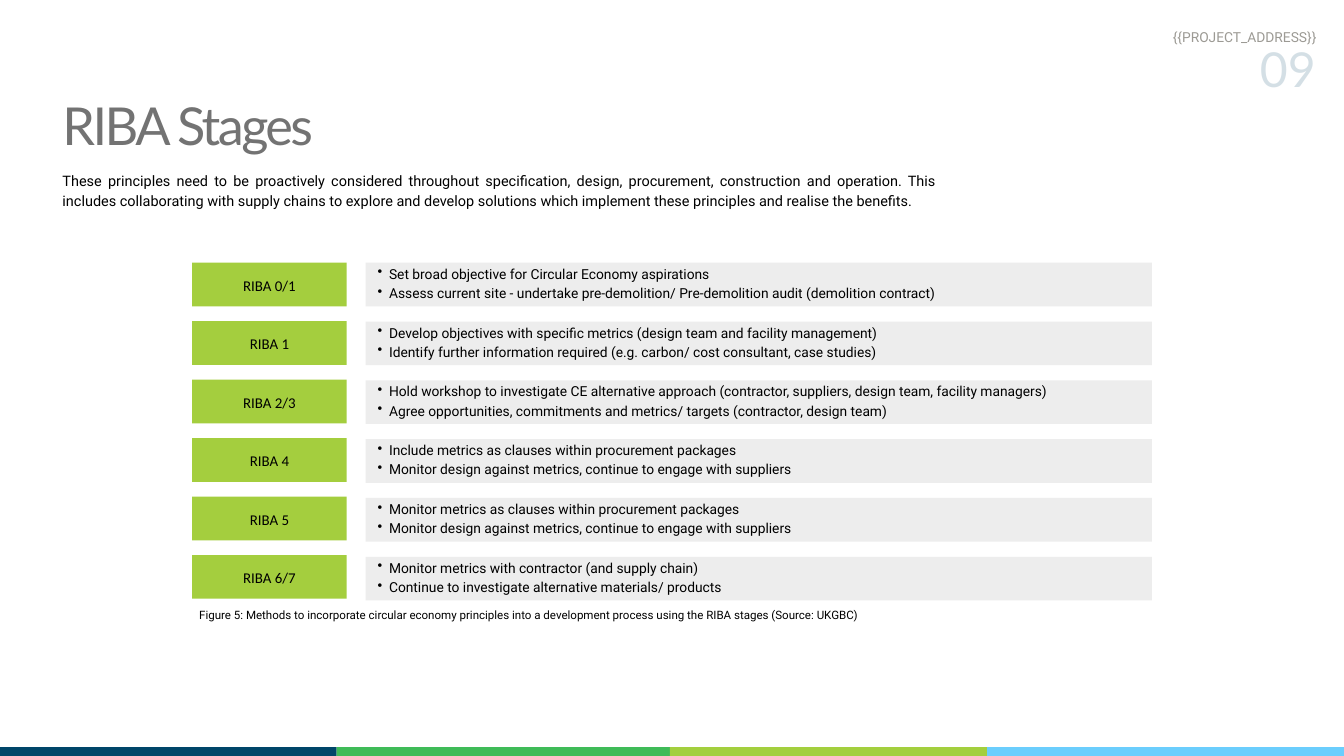
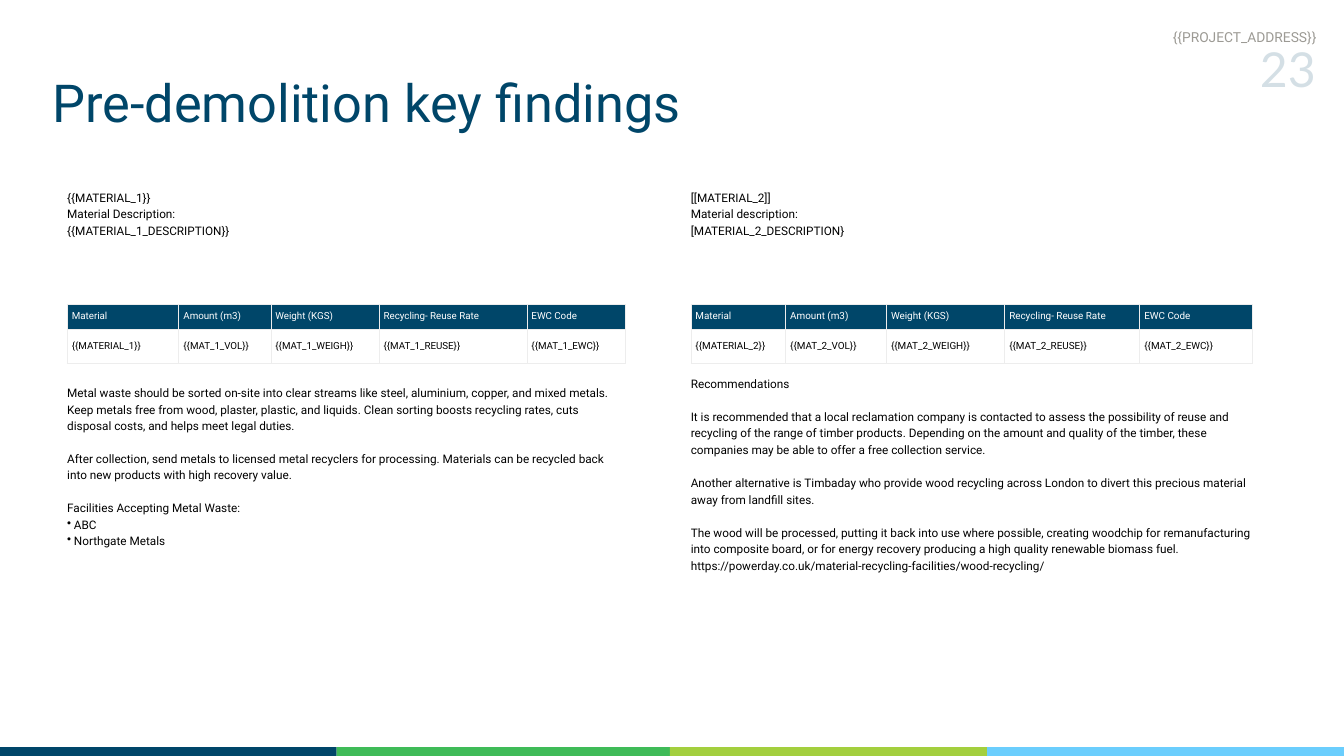
from dataclasses import dataclass
from itertools import accumulate
from typing import NamedTuple

from lxml import etree
from pptx import Presentation
from pptx.dml.color import RGBColor
from pptx.enum.shapes import MSO_SHAPE
from pptx.enum.text import MSO_ANCHOR, MSO_AUTO_SIZE, PP_ALIGN
from pptx.oxml.ns import qn
from pptx.util import Inches, Pt

RECT = MSO_SHAPE.RECTANGLE
MIDDLE = MSO_ANCHOR.MIDDLE
FIT = MSO_AUTO_SIZE.SHAPE_TO_FIT_TEXT
LEFT, CENTER = PP_ALIGN.LEFT, PP_ALIGN.CENTER
RIGHT, JUSTIFY = PP_ALIGN.RIGHT, PP_ALIGN.JUSTIFY


@dataclass(frozen=True)
class Theme:
    navy: str = "004669"
    green: str = "3FBB58"
    lime: str = "A3CF3E"
    sky: str = "6BCEFD"
    tag: str = "A4CE3E"
    panel: str = "EDEDED"
    black: str = "000000"
    white: str = "FFFFFF"
    grey: str = "737373"
    stone: str = "9C9A94"
    sans: str = "Roboto"
    head: str = "Lato"
    label: str = "Calibri"
    title: float = 56
    number: float = 51.6
    stage: float = 16
    intro: float = 15.5
    item: float = 14.8
    body: float = 12.6
    note: float = 12.4


T = Theme()


class Para(NamedTuple):
    text: str
    gap: float = 0
    hang: float = 0
    indent: float = 0


class Box(NamedTuple):
    left: float
    top: float
    width: float
    height: float

    def emu(self) -> list:
        return [Inches(value) for value in self]


class Stage(NamedTuple):
    name: str
    tasks: tuple


class Finding(NamedTuple):
    """One column of the findings slide."""
    left: float
    width: float
    intro: list
    cols: list
    cells: list
    size: float
    row: float
    advice: list
    top: float
    line: float


def fill(frame, paras: list, *, size: float, line: float, font: str = T.sans,
         color: str = T.black, align=LEFT, space: float = 0, alpha: int = 100) -> None:
    """Write paragraphs with an exact line pitch in points."""
    for i, para in enumerate(paras):
        p = frame.paragraphs[0] if i == 0 else frame.add_paragraph()
        p.alignment = align
        if para.hang:
            props = p._p.get_or_add_pPr()
            props.set("marL", str(Inches(para.indent)))
            props.set("indent", str(-Inches(para.hang)))
            etree.SubElement(props, qn("a:buChar"), char="•")
        p.line_spacing = Pt(line)
        if para.gap:
            p.space_before = Pt(para.gap)
        run = p.add_run()
        run.text = para.text
        run.font.name, run.font.size, run.font.bold = font, Pt(size), False
        run.font.color.rgb = RGBColor.from_string(color)
        if space:
            run._r.get_or_add_rPr().set("spc", str(round(space * 100)))
        if alpha < 100:
            tint = run._r.rPr.find(".//" + qn("a:srgbClr"))
            etree.SubElement(tint, qn("a:alpha"), val=str(alpha * 1000))


def write(slide, box: Box, text: str | list, **style) -> None:
    frame = slide.shapes.add_textbox(*box.emu()).text_frame
    frame.margin_left = frame.margin_right = 0
    frame.margin_top = frame.margin_bottom = 0
    frame.word_wrap = True
    frame.auto_size = FIT
    fill(frame, [Para(text)] if isinstance(text, str) else text, **style)


def block(slide, box: Box, color: str) -> None:
    shape = slide.shapes.add_shape(RECT, *box.emu())
    shape.shadow.inherit = False
    shape.fill.solid()
    shape.fill.fore_color.rgb = RGBColor.from_string(color)
    shape.line.fill.background()


def edge(cell) -> None:
    """Draw a thin border on all four sides of a cell."""
    props = cell._tc.get_or_add_tcPr()
    for side in ("lnL", "lnR", "lnT", "lnB"):
        line = etree.SubElement(props, qn(f"a:{side}"), w=str(Pt(0.66)))
        solid = etree.SubElement(line, qn("a:solidFill"))
        etree.SubElement(solid, qn("a:srgbClr"), val=T.panel)


def grid(slide, item: Finding) -> None:
    rows = [HEADS, item.cells]
    box = Box(item.left, 4.53, item.width, sum(ROW_SIZES))
    table = slide.shapes.add_table(len(rows), len(HEADS), *box.emu()).table
    table.horz_banding = False
    for col, width in zip(table.columns, item.cols):
        col.width = Inches(width)
    for r, texts in enumerate(rows):
        table.rows[r].height = Inches(ROW_SIZES[r])
        for c, text in enumerate(texts):
            cell = table.cell(r, c)
            cell.margin_left = cell.margin_right = Inches(0.07)
            cell.margin_top = cell.margin_bottom = Inches(0.07)
            cell.vertical_anchor = MIDDLE
            edge(cell)
            if r == 0:
                cell.fill.solid()
                cell.fill.fore_color.rgb = RGBColor.from_string(T.navy)
            else:
                cell.fill.background()
            fill(cell.text_frame, [Para(text)], size=item.size, line=item.row,
                 color=T.black if r else T.white)


def start(deck, number: str):
    """Add a slide with the colour band, page number and address."""
    slide = deck.slides.add_slide(deck.slide_layouts[6])
    widths = [5.01, 4.96, 4.72, 5.31]
    lefts = accumulate(widths, initial=0)
    for left, width, color in zip(lefts, widths, (T.navy, T.green, T.lime, T.sky)):
        block(slide, Box(left, 11.12, width, 0.13), color)
    write(slide, Box(18.41, 0.44, 1.17, 1.11), number, size=T.number, line=72.3,
          font=T.head, color=T.navy, align=RIGHT, alpha=17)
    write(slide, Box(12.2, 0.39, 7.39, 0.3), "{{PROJECT_ADDRESS}}", size=T.item,
          line=20.6, color=T.stone, align=RIGHT)
    return slide


STAGES = [
    Stage("RIBA 0/1", (
        "Set broad objective for Circular Economy aspirations",
        "Assess current site - undertake pre-demolition/ Pre-demolition audit (demolition contract)")),
    Stage("RIBA 1", (
        "Develop objectives with specific metrics (design team and facility management)",
        "Identify further information required (e.g. carbon/ cost consultant, case studies)")),
    Stage("RIBA 2/3", (
        "Hold workshop to investigate CE alternative approach "
        "(contractor, suppliers, design team, facility managers)",
        "Agree opportunities, commitments and metrics/ targets (contractor, design team)")),
    Stage("RIBA 4", (
        "Include metrics as clauses within procurement packages",
        "Monitor design against metrics, continue to engage with suppliers")),
    Stage("RIBA 5", (
        "Monitor metrics as clauses within procurement packages",
        "Monitor design against metrics, continue to engage with suppliers")),
    Stage("RIBA 6/7", (
        "Monitor metrics with contractor (and supply chain)",
        "Continue to investigate alternative materials/ products")),
]

HEADS = ["Material", "Amount (m3)", "Weight (KGS)", "Recycling- Reuse Rate", "EWC Code"]
ROW_SIZES = [0.37, 0.51]


def codes(n: int) -> list:
    fields = ("VOL", "WEIGH", "REUSE", "EWC")
    return [f"{{{{MATERIAL_{n}}}}}"] + [f"{{{{MAT_{n}_{field}}}}}" for field in fields]


FINDINGS = [
    Finding(
        left=1, width=8.31, size=10.5, row=11.3, top=5.71, line=17.6,
        intro=[Para("{{MATERIAL_1}}"), Para("Material Description:"),
               Para("{{MATERIAL_1_DESCRIPTION}}")],
        cols=[1.66, 1.37, 1.61, 2.2, 1.47], cells=codes(1),
        advice=[
            Para("Metal waste should be sorted on-site into clear streams like steel, aluminium, "
                 "copper, and mixed metals. Keep metals free from wood, plaster, plastic, and "
                 "liquids. Clean sorting boosts recycling rates, cuts disposal costs, and helps "
                 "meet legal duties."),
            Para("After collection, send metals to licensed metal recyclers for processing. "
                 "Materials can be recycled back into new products with high recovery value.", 17.6),
            Para("Facilities Accepting Metal Waste:", 17.6),
            Para("ABC", hang=0.1, indent=0.1),
            Para("Northgate Metals", hang=0.1, indent=0.1)]),
    Finding(
        left=10.28, width=8.35, size=10.6, row=11.4, top=5.57, line=17.7,
        intro=[Para("[[MATERIAL_2]]"), Para("Material description:"),
               Para("[MATERIAL_2_DESCRIPTION}")],
        cols=[1.41, 1.5, 1.76, 2.01, 1.67], cells=codes(2),
        advice=[
            Para("Recommendations"),
            Para("It is recommended that a local reclamation company is contacted to assess the "
                 "possibility of reuse and recycling of the range of timber products. Depending on "
                 "the amount and quality of the timber, these companies may be able to offer a "
                 "free collection service.", 17.7),
            Para("Another alternative is Timbaday who provide wood recycling across London to "
                 "divert this precious material away from landfill sites.", 17.7),
            Para("The wood will be processed, putting it back into use where possible, creating "
                 "woodchip for remanufacturing into composite board, or for energy recovery "
                 "producing a high quality renewable biomass fuel.", 17.7),
            Para("https://powerday.co.uk/material-recycling-facilities/wood-recycling/")]),
]


def stages(deck) -> None:
    slide = start(deck, "09")
    write(slide, Box(0.93, 1.62, 8.54, 0.75), "RIBA Stages", size=T.title, line=50.4,
          font=T.head, color=T.grey, space=-2.8)
    write(slide, Box(0.93, 2.51, 12.99, 0.9),
          "These principles need to be proactively considered throughout specification, design, "
          "procurement, construction and operation. This includes collaborating with supply chains "
          "to explore and develop solutions which implement these principles and realise the "
          "benefits.", size=T.intro, line=21.7, align=JUSTIFY)
    for i, stage in enumerate(STAGES):
        top = 3.91 + 0.87 * i
        block(slide, Box(2.86, top, 2.3, 0.65), T.tag)
        write(slide, Box(2.86, top + 0.16, 2.3, 0.3), stage.name, size=T.stage, line=22.4,
              font=T.label, align=CENTER)
        top = 3.91 + 0.875 * i
        block(slide, Box(5.44, top, 11.7, 0.65), T.panel)
        tasks = [Para(task, hang=0.17, indent=0.35) for task in stage.tasks]
        write(slide, Box(5.44, top, 11.57, 0.58), tasks, size=T.item, line=20.6)
    write(slide, Box(2.86, 9.01, 10.02, 0.26),
          "Figure 5: Methods to incorporate circular economy principles into a development "
          "process using the RIBA stages (Source: UKGBC)", size=T.note, line=17.4, align=CENTER)


def findings(deck) -> None:
    slide = start(deck, "23")
    write(slide, Box(0.78, 0.89, 12.5, 1.17), "Pre-demolition key findings", size=T.title,
          line=78.4, color=T.navy)
    for item in FINDINGS:
        style = {"size": T.body, "line": item.line}
        write(slide, Box(item.left, 2.8, item.width, 1.2), item.intro, **style)
        grid(slide, item)
        write(slide, Box(item.left, item.top, item.width, 2.61), item.advice, **style)


def main() -> None:
    deck = Presentation()
    deck.slide_width, deck.slide_height = Inches(20), Inches(11.25)
    stages(deck)
    findings(deck)
    deck.save("out.pptx")


if __name__ == "__main__":
    main()
